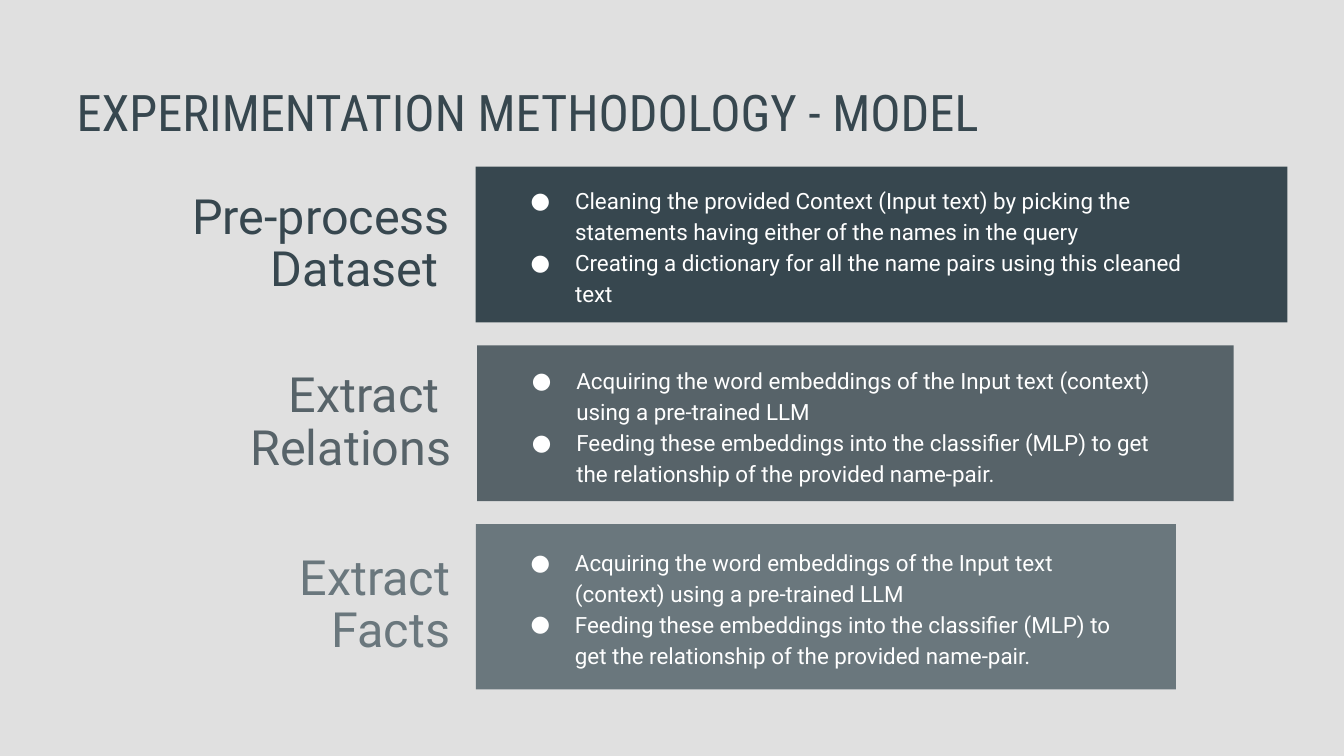
from lxml import etree
from pptx import Presentation
from pptx.dml.color import RGBColor
from pptx.enum import shapes, text
from pptx.oxml.ns import qn
from pptx.util import Inches, Pt

BACKGROUND = RGBColor(0xE0, 0xE0, 0xE0)
WHITE = RGBColor(0xFF, 0xFF, 0xFF)
DARK = RGBColor(0x37, 0x47, 0x4F)
MEDIUM = RGBColor(0x57, 0x63, 0x69)
LIGHT = RGBColor(0x6A, 0x77, 0x7D)

EMBEDDING_STEPS = [
    "Acquiring the word embeddings of the Input text (context) using a pre-trained LLM",
    "Feeding these embeddings into the classifier (MLP) to get the relationship "
    "of the provided name-pair.",
]
STAGES = [
    dict(color=DARK, label=["Pre-process Dataset "], label_at=(0.72, 1.32, 2.73, 1),
         bar_at=(3.54, 1.24, 6.04, 1.16), steps_at=(3.68, 1.37, 5.52, 0.91),
         steps=["Cleaning the provided Context (Input text) by picking the statements "
                "having either of the names in the query",
                "Creating a dictionary for all the name pairs using this cleaned text"],
         filled_steps=True),
    dict(color=MEDIUM, label=["Extract ", "Relations"], label_at=(0.32, 2.65, 3.14, 1),
         bar_at=(3.55, 2.57, 5.63, 1.16), steps_at=(3.69, 2.9, 5.07, 0.53),
         steps=EMBEDDING_STEPS, filled_steps=False),
    dict(color=LIGHT, label=["Extract Facts"], label_at=(1.2, 3.98, 2.25, 1.06),
         bar_at=(3.54, 3.9, 5.21, 1.23), steps_at=(3.68, 4.24, 4.77, 0.55),
         steps=EMBEDDING_STEPS, filled_steps=False),
]


def add_bullet(para, size, font):
    props = para._p.get_or_add_pPr()
    props.set("marL", str(Inches(0.5)))
    props.set("indent", str(Inches(-0.33)))
    color = etree.SubElement(props, qn("a:buClr"))
    etree.SubElement(color, qn("a:srgbClr"), val=str(WHITE))
    etree.SubElement(props, qn("a:buSzPts"), val=str(size * 100))
    etree.SubElement(props, qn("a:buFont"), typeface=font)
    etree.SubElement(props, qn("a:buChar"), char="●")


def write_text(box, lines, *, size, color, font="Roboto", align=text.PP_ALIGN.LEFT,
               anchor=text.MSO_ANCHOR.MIDDLE, spacing=1.0, inset=0.05, bullets=False):
    frame = box.text_frame
    frame.word_wrap = True
    frame.auto_size = text.MSO_AUTO_SIZE.NONE
    frame.vertical_anchor = anchor
    frame.margin_left = frame.margin_right = Inches(0.1)
    frame.margin_top = frame.margin_bottom = Inches(inset)
    for index, line in enumerate(lines):
        para = frame.add_paragraph() if index else frame.paragraphs[0]
        para.alignment = align
        para.line_spacing = spacing
        para.space_before = para.space_after = Pt(0)
        if bullets:
            add_bullet(para, size, font)
        span = para.add_run()
        span.text = line
        span.font.size = Pt(size)
        span.font.name = font
        span.font.color.rgb = color


def add_box(group, at):
    return group.shapes.add_textbox(*map(Inches, at))


def add_bar(group, at, color):
    bar = group.shapes.add_shape(shapes.MSO_SHAPE.RECTANGLE, *map(Inches, at))
    bar.shadow.inherit = False
    bar.fill.solid()
    bar.fill.fore_color.rgb = color
    bar.line.fill.background()
    return bar


def add_stage(page, stage):
    group = page.shapes.add_group_shape()
    color, steps_at = stage["color"], stage["steps_at"]
    write_text(add_box(group, stage["label_at"]), stage["label"], size=26,
               color=color, align=text.PP_ALIGN.RIGHT, spacing=0.9)
    add_bar(group, stage["bar_at"], color)
    if stage["filled_steps"]:
        box = add_bar(group, steps_at, color)
    else:
        box = add_box(group, steps_at)
    write_text(box, stage["steps"], size=12, color=WHITE, spacing=1.15, bullets=True)


def add_title(page, title):
    box = page.shapes.title
    box.left, box.top, box.width, box.height = map(Inches, (0.47, 0.5, 9.35, 0.57))
    write_text(box, [title], size=27, color=DARK, font="Roboto Condensed",
               anchor=text.MSO_ANCHOR.TOP, inset=0.1)


def main():
    deck = Presentation()
    deck.slide_width = Inches(10)
    deck.slide_height = deck.slide_width * 9 // 16
    page = deck.slides.add_slide(deck.slide_layouts[5])
    page.background.fill.solid()
    page.background.fill.fore_color.rgb = BACKGROUND
    add_title(page, "EXPERIMENTATION METHODOLOGY - MODEL")
    for stage in STAGES:
        add_stage(page, stage)
    deck.save("out.pptx")


if __name__ == "__main__":
    main()
